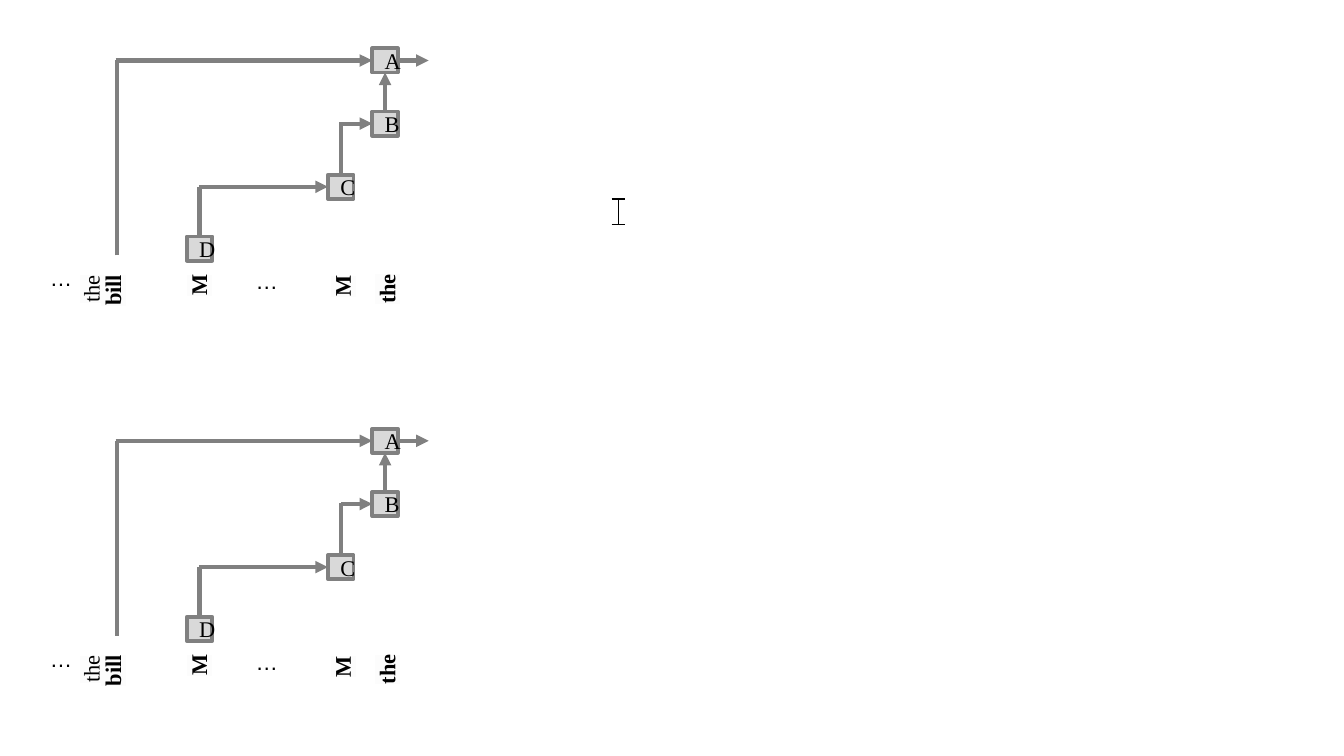
"""Build a slide with two stacked word-chain diagrams and a text cursor."""
from lxml.etree import SubElement
from pptx import Presentation
from pptx.dml.color import RGBColor
from pptx.enum.shapes import MSO_CONNECTOR as Link, MSO_SHAPE as Shape
from pptx.enum.text import MSO_ANCHOR as Anchor, PP_ALIGN as Align
from pptx.oxml.ns import qn
from pptx.util import Inches, Pt

hue = RGBColor.from_string


def add_line(group, start, end, color, width, arrow=False):
    line = group.shapes.add_connector(Link.STRAIGHT, *map(Inches, start + end))
    line.line.color.rgb = hue(color)
    line.line.width = Pt(width)
    if arrow:
        SubElement(line.line._get_or_add_ln(), qn("a:tailEnd"), type="triangle")
    SubElement(line._element.spPr, qn("a:effectLst"))
    return line


def write(shape, text, font="Times New Roman", bold=False, highlight=None):
    frame = shape.text_frame
    frame.word_wrap = True
    frame.text = text
    para = frame.paragraphs[0]
    para.alignment = Align.CENTER
    span = para.runs[0]
    span.font.size = Pt(12)
    span.font.bold = bold
    span.font.color.rgb = hue("000000")
    if highlight:
        mark = SubElement(span.font._element, qn("a:highlight"))
        SubElement(mark, qn("a:srgbClr"), val=highlight)
    span.font.name = font


deck = Presentation()
deck.slide_width = Inches(10)
deck.slide_height = Inches(10 * 9 / 16)
page = deck.slides.add_slide(deck.slide_layouts[6])

GRAY = "808080"
BOX_WIDTH, BOX_HEIGHT = 0.19, 0.18
TOP, LEFT, BOTTOM, RIGHT = range(4)
nodes = [("A", 2.77, 0.36), ("B", 2.77, 0.83), ("C", 2.44, 1.3), ("D", 1.39, 1.76)]
# Each wire: start, end, joined start (node, side), joined end (node, side)
wires = [
    ((0.86, 0.45), (2.77, 0.45), None, ("A", LEFT)),
    ((2.54, 0.92), (2.77, 0.92), None, ("B", LEFT)),
    ((1.48, 1.39), (2.44, 1.39), None, ("C", LEFT)),
    ((2.87, 0.83), (2.87, 0.55), ("B", TOP), ("A", BOTTOM)),
    ((2.96, 0.46), (3.19, 0.46), ("A", RIGHT), None),
    ((2.54, 1.3), (2.54, 0.91), ("C", TOP), None),
    ((1.49, 1.76), (1.49, 1.39), ("D", TOP), None),
    ((0.87, 1.9), (0.87, 0.45), None, None),
]
words = [("the", 0.36, 2.06, False), ("bill", 0.52, 2.07, True), ("M", 1.16, 2.03, True),
         ("M", 2.23, 2.04, True), ("the", 2.56, 2.06, True)]
ellipses = [(0.12, 1.92), (1.65, 1.94)]

for drop in (0, 2.83):
    diagram = page.shapes.add_group_shape()
    boxes = {}
    for name, left, top in nodes:
        box = diagram.shapes.add_shape(
            Shape.RECTANGLE, Inches(left), Inches(top + drop), Inches(BOX_WIDTH), Inches(BOX_HEIGHT))
        box.shadow.inherit = False
        box.fill.solid()
        box.fill.fore_color.rgb = hue("D9D9D9")
        box.line.color.rgb = hue(GRAY)
        box.line.width = Pt(2)
        box.text_frame.vertical_anchor = Anchor.MIDDLE
        write(box, name)
        boxes[name] = box

    for (x1, y1), (x2, y2), source, target in wires:
        wire = add_line(diagram, (x1, y1 + drop), (x2, y2 + drop), GRAY, 2.25, arrow=x1 < x2 or bool(target))
        if source:
            wire.begin_connect(boxes[source[0]], source[1])
        if target:
            wire.end_connect(boxes[target[0]], target[1])
        elif x1 == x2:
            wire.end_x = wire.begin_x
        else:
            wire.end_y = wire.begin_y

    for word, left, top, bold in words:
        label = diagram.shapes.add_textbox(Inches(left), Inches(top + drop), Inches(0.63), Inches(0.18))
        label.rotation = 270
        label.text_frame.vertical_anchor = Anchor.MIDDLE
        write(label, word, bold=bold, highlight="FCFCFC")

    for left, top in ellipses:
        dots = diagram.shapes.add_textbox(Inches(left), Inches(top + drop), Inches(0.67), Inches(0.3))
        write(dots, "…", font="Arial")

cursor = page.shapes.add_group_shape()
add_line(cursor, (4.6, 1.48), (4.6, 1.67), "000000", 0.75)
for height in (1.67, 1.48):
    add_line(cursor, (4.55, height), (4.65, height), "000000", 0.75)

deck.save("out.pptx")
